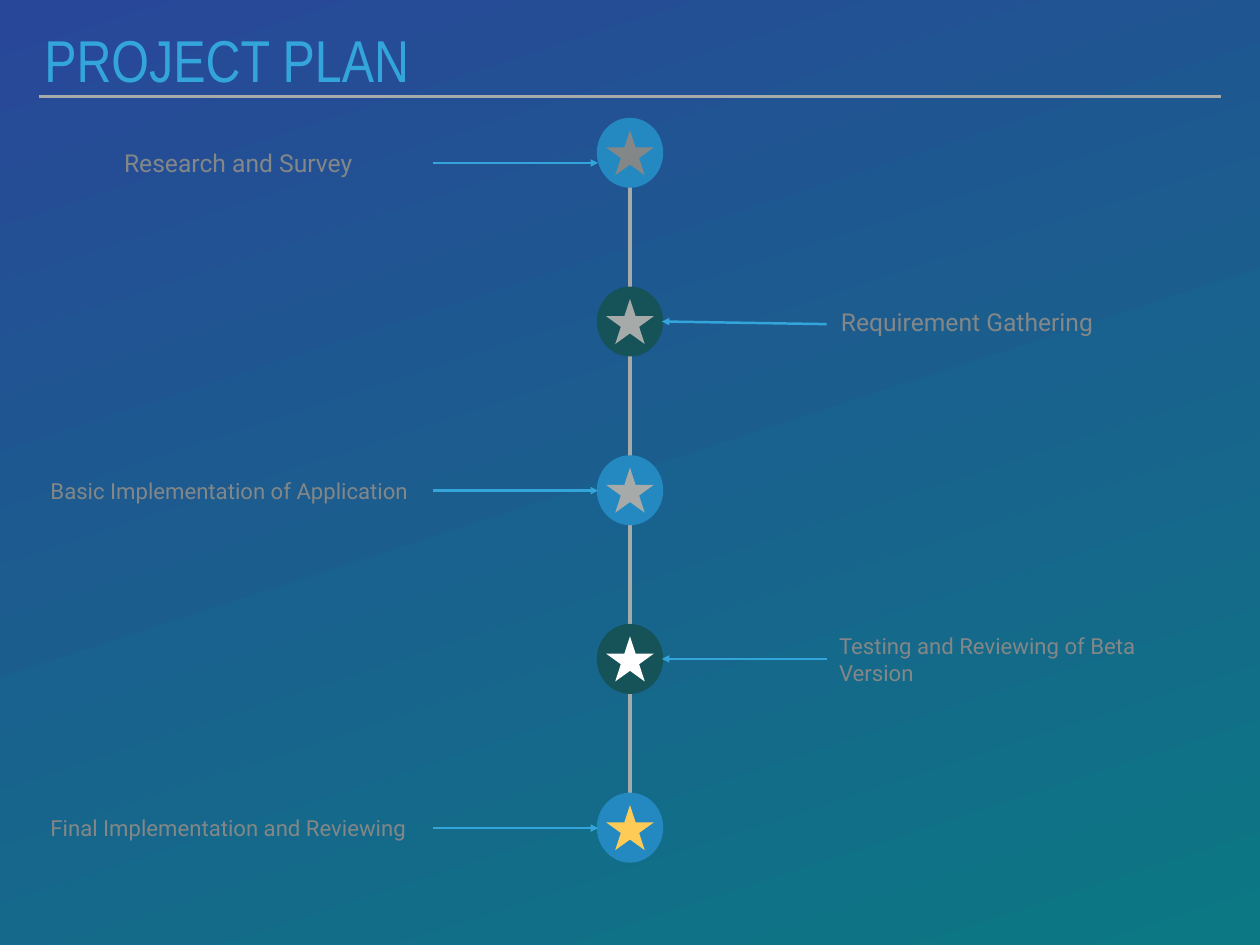
"""Build the project plan slide: a vertical timeline of five milestones."""
from dataclasses import dataclass

from lxml import etree
from pptx import Presentation
from pptx.dml.color import RGBColor
from pptx.enum import shapes, text
from pptx.oxml.ns import qn
from pptx.util import Inches, Pt

BLUE, GREEN, SKY = "2389C0", "155359", "34A5DA"
GRAY, SILVER = "838787", "A6AAA9"
AXIS_X, FIRST_TOP, LAST_TOP = 7.11, 1.33, 8.95
DISC_W, DISC_H, STAR_W, STAR_H = 0.75, 0.79, 0.54, 0.51
STAR_DROP = 0.14
ARROW_START, ARROW_END = 2.22, 0.36


@dataclass
class Milestone:
    label: str
    star: str
    left: float
    width: float
    height: float
    size: int
    arrow_y: float
    on_left: bool
    start_drop: float = 0


MILESTONES = [
    Milestone("Research and Survey", GRAY, 1.34, 3.22, 0.49, 20, 1.84, True),
    Milestone("Requirement Gathering", SILVER, 9.43, 3.22, 0.49, 20, 3.63, False, 0.03),
    Milestone("Basic Implementation of Application", SILVER, 0.51, 4.31, 0.46, 18, 5.54, True),
    Milestone("Testing and Reviewing of Beta Version", "FFFFFF", 9.41, 4.31, 0.81, 18, 7.44, False),
    Milestone("Final Implementation and Reviewing", "FDCB56", 0.51, 4.31, 0.46, 18, 9.35, True),
]


def rgb(value: str) -> RGBColor:
    return RGBColor.from_string(value)


def add_line(s, x1: float, y1: float, x2: float, y2: float, color: str,
             width: float, arrow: bool = False) -> None:
    cx = s.shapes.add_connector(shapes.MSO_CONNECTOR.STRAIGHT,
                                *map(Inches, (x1, y1, x2, y2)))
    cx.line.color.rgb = rgb(color)
    cx.line.width = Pt(width)
    if arrow:
        etree.SubElement(cx.line._get_or_add_ln(), qn("a:tailEnd"), type="triangle")
    etree.SubElement(cx._element.spPr, qn("a:effectLst"))


def add_centred(s, kind, top: float, width: float, height: float, color: str):
    sp = s.shapes.add_shape(kind, *map(Inches, (AXIS_X - width / 2, top, width, height)))
    sp.shadow.inherit = False
    sp.fill.solid()
    sp.fill.fore_color.rgb = rgb(color)
    sp.line.fill.background()
    return sp


def write(sp, words: str, font: str, size: float, color: str, before: float,
          spacing: float = 1.0) -> None:
    tf = sp.text_frame
    inset = Inches(0.06)
    frame = dict(margin_left=inset, margin_right=inset, margin_top=inset,
                 margin_bottom=inset, word_wrap=True,
                 vertical_anchor=text.MSO_ANCHOR.MIDDLE)
    p = tf.paragraphs[0]
    r = p.add_run()
    r.text = words
    para = dict(alignment=text.PP_ALIGN.LEFT, space_before=Pt(before), line_spacing=spacing)
    face = dict(name=font, size=Pt(size))
    for target, values in ((tf, frame), (p, para), (r.font, face)):
        for name, value in values.items():
            setattr(target, name, value)
    r.font.color.rgb = rgb(color)


def add_milestone(s, m: Milestone, disc_top: float) -> None:
    add_centred(s, shapes.MSO_SHAPE.OVAL, disc_top, DISC_W, DISC_H,
                BLUE if m.on_left else GREEN)
    side = -1 if m.on_left else 1
    add_line(s, AXIS_X + side * ARROW_START, m.arrow_y + m.start_drop,
             AXIS_X + side * ARROW_END, m.arrow_y, SKY, 2, arrow=True)
    add_centred(s, shapes.MSO_SHAPE.STAR_5_POINT, disc_top + STAR_DROP,
                STAR_W, STAR_H, m.star)
    box = s.shapes.add_textbox(*map(Inches, (m.left, m.arrow_y - m.height / 2,
                                             m.width, m.height)))
    write(box, m.label, "Roboto", m.size, GRAY, 24)
    box.text_frame.auto_size = text.MSO_AUTO_SIZE.SHAPE_TO_FIT_TEXT


def main() -> None:
    prs = Presentation()
    prs.slide_width, prs.slide_height = Inches(14.22), Inches(10.67)
    s = prs.slides.add_slide(prs.slide_layouts[5])

    fill = s.background.fill
    fill.gradient()
    fill.gradient_angle = 360 - 72
    for stop, color in zip(fill.gradient_stops, ("284799", "0C7883")):
        stop.color.rgb = rgb(color)

    title = s.shapes.title
    title.left, title.top, title.width, title.height = map(Inches, (0.44, 0.34, 6.89, 0.79))
    write(title, "PROJECT PLAN", "Arial Narrow", 48, SKY, 22, 0.8)
    add_line(s, 0.44, 1.09, 13.78, 1.09, SILVER, 2)

    add_line(s, AXIS_X, 9.71, AXIS_X, 1.36, SILVER, 3)
    step = (LAST_TOP - FIRST_TOP) / (len(MILESTONES) - 1)
    for i, m in enumerate(MILESTONES):
        add_milestone(s, m, FIRST_TOP + i * step)

    prs.save("out.pptx")


if __name__ == "__main__":
    main()
